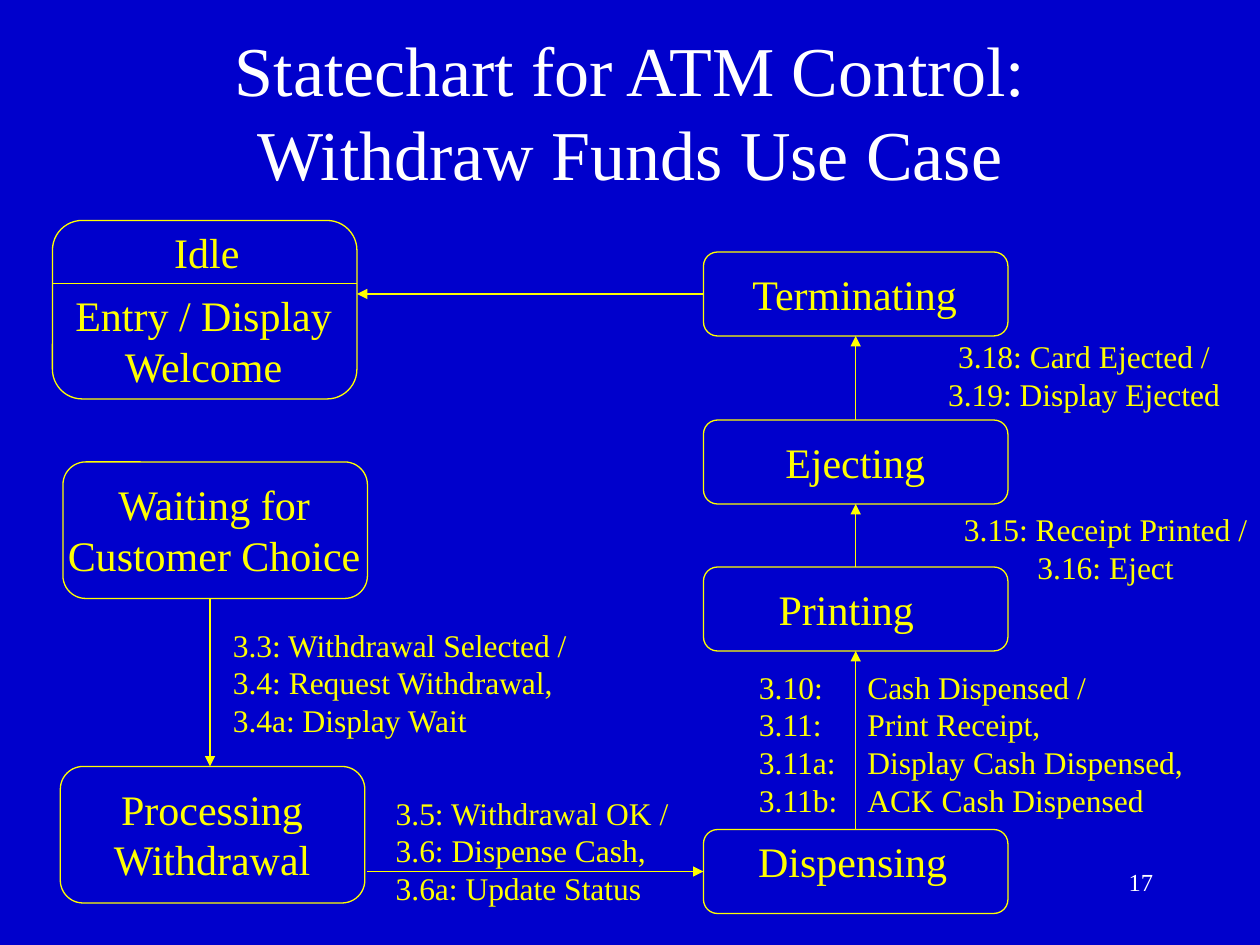
from dataclasses import dataclass

from lxml import etree
from pptx import Presentation
from pptx.dml.color import RGBColor
from pptx.enum.shapes import MSO_CONNECTOR, MSO_SHAPE
from pptx.enum.text import MSO_ANCHOR, MSO_AUTO_SIZE, PP_ALIGN
from pptx.oxml.ns import qn
from pptx.util import Inches, Pt

STRAIGHT = MSO_CONNECTOR.STRAIGHT
ROUNDED = MSO_SHAPE.ROUNDED_RECTANGLE
MIDDLE = MSO_ANCHOR.MIDDLE
GROW, FIXED = MSO_AUTO_SIZE.SHAPE_TO_FIT_TEXT, MSO_AUTO_SIZE.NONE
LEFT, CENTER, RIGHT = PP_ALIGN.LEFT, PP_ALIGN.CENTER, PP_ALIGN.RIGHT
TOP_SIDE, LEFT_SIDE, BOTTOM_SIDE = 0, 1, 2
COLUMNS, ROWS = 120, 90
STATE_WIDTH = 29
RIGHT_COLUMN = 67
SLACK = 1


@dataclass(frozen=True)
class Theme:
    """Colours, type sizes and line width of the slide."""

    background: RGBColor = RGBColor(0x00, 0x00, 0xCC)
    ink: RGBColor = RGBColor(0xFF, 0xFF, 0x00)
    heading: RGBColor = RGBColor(0xFF, 0xFF, 0xFF)
    font: str = "Times New Roman"
    title: int = 40
    state: int = 24
    transition: int = 18
    number: int = 14
    line: float = 0.75


THEME = Theme()

STATES = {
    "idle": ((5, 21, STATE_WIDTH, 17),
             [(["Idle"], (15.4, 21, 8.6)),
              (["Entry / Display", "Welcome"], (6, 27, 26.8))]),
    "waiting": ((6, 44, STATE_WIDTH, 13),
                [(["Waiting for", "Customer Choice"], (5.3, 45, 30.2))]),
    "processing": ((5.75, 73, STATE_WIDTH, 13),
                   [(["Processing", "Withdrawal"], (9.6, 74, 21.2))]),
    "terminating": ((RIGHT_COLUMN, 24, STATE_WIDTH, 8),
                    [(["Terminating"], (70.3, 25, 22.2))]),
    "ejecting": ((RIGHT_COLUMN, 40, STATE_WIDTH, 8),
                 [(["Ejecting"], (73.6, 41, 15.7))]),
    "printing": ((RIGHT_COLUMN, 54, STATE_WIDTH, 8),
                 [(["Printing"], (73, 55, 15.2))]),
    "dispensing": ((RIGHT_COLUMN, 79, STATE_WIDTH, 8),
                   [(["Dispensing"], (71, 79, 20.4))]),
}

TRANSITIONS = [
    (["3.3: Withdrawal Selected /", "3.4: Request Withdrawal,", "3.4a: Display Wait"],
     (21, 59, 34.3), LEFT),
    (["3.5: Withdrawal OK /", "3.6: Dispense Cash,", "3.6a: Update Status"],
     (36.5, 75, 28.6), LEFT),
    (["3.10:\tCash Dispensed /", "3.11:\tPrint Receipt,",
      "3.11a:\tDisplay Cash Dispensed,", "3.11b:\tACK Cash Dispensed"],
     (71.1, 63, 43), LEFT),
    (["3.15: Receipt Printed /", "3.16: Eject"], (90.6, 48, 29.4), CENTER),
    (["3.18: Card Ejected /", "3.19: Display Ejected"], (89.1, 31.5, 28.3), CENTER),
]


def grid(*units):
    """Turn grid columns or rows into lengths."""
    return [Inches(unit / 12) for unit in units]


def write(frame, lines, size, color=THEME.ink, align=CENTER, tab=None):
    """Fill a text frame with formatted paragraphs."""
    for index, line in enumerate(lines):
        para = frame.add_paragraph() if index else frame.paragraphs[0]
        para.text = line
        para.alignment = align
        para.space_before = Pt(0)
        if tab:
            stops = etree.SubElement(para._p.get_or_add_pPr(), qn("a:tabLst"))
            etree.SubElement(stops, qn("a:tab"), pos=str(Inches(tab)), algn="l")
        for span in para.runs:
            span.font.name = THEME.font
            span.font.size = Pt(size)
            span.font.color.rgb = color


def add_label(page, lines, place, size, align=CENTER, tab=None):
    """Add a text box as tall as its lines, with slack that keeps them whole."""
    left, top, width = place
    if align == CENTER:
        left -= SLACK / 2
    height = Inches(0.1) + Pt(size * 1.2 * len(lines))
    box = page.shapes.add_textbox(*grid(left, top, width + SLACK), height)
    box.text_frame.word_wrap = False
    box.text_frame.auto_size = GROW
    write(box.text_frame, lines, size, align=align, tab=tab)


def add_state(page, place, labels):
    """Draw one rounded state with its labels."""
    state = page.shapes.add_shape(ROUNDED, *grid(*place))
    state.shadow.inherit = False
    state.fill.background()
    state.line.color.rgb = THEME.ink
    state.line.width = Pt(THEME.line)
    for lines, spot in labels:
        add_label(page, lines, spot, THEME.state)
    return state


def add_line(page, start, end, arrow=True):
    """Draw a straight line between two grid points."""
    line = page.shapes.add_connector(STRAIGHT, *grid(*start, *end))
    line.line.color.rgb = THEME.ink
    line.line.width = Pt(THEME.line)
    if arrow:
        etree.SubElement(line.line._get_or_add_ln(), qn("a:tailEnd"), type="triangle")
    etree.SubElement(line._element.spPr, qn("a:effectLst"))
    return line


def add_title(page, text, place):
    """Place and format the slide title."""
    title = page.shapes.title
    title.left, title.top, title.width, title.height = grid(*place)
    title.text_frame.vertical_anchor = MIDDLE
    title.text_frame.word_wrap = True
    title.text_frame.auto_size = FIXED
    write(title.text_frame, [text], THEME.title, color=THEME.heading)


def add_page_number(page, text, place):
    """Write the page number at the right of its box."""
    box = page.shapes.add_textbox(*grid(*place))
    box.text_frame.word_wrap = True
    write(box.text_frame, [text], THEME.number, color=THEME.heading, align=RIGHT)


def add_statechart(page):
    """Draw the states, the arrows between them and the transition labels."""
    states = {name: add_state(page, *parts) for name, parts in STATES.items()}
    add_line(page, (5, 27), (34, 27), arrow=False)
    add_line(page, (20, 57), (20, 73))
    add_line(page, (35, 83), (67, 83)).end_connect(states["dispensing"], LEFT_SIDE)
    chain = ["dispensing", "printing", "ejecting", "terminating"]
    for lower, upper in zip(chain, chain[1:]):
        arrow = add_line(page, (81.5, 79), (81.5, 32))
        arrow.begin_connect(states[lower], TOP_SIDE)
        arrow.end_connect(states[upper], BOTTOM_SIDE)
    add_line(page, (67, 28), (34, 28)).begin_connect(states["terminating"], LEFT_SIDE)
    for lines, place, align in TRANSITIONS:
        tab = 0.86 if "\t" in lines[0] else None
        add_label(page, lines, place, THEME.transition, align=align, tab=tab)


def main():
    """Build the slide and save it."""
    deck = Presentation()
    deck.slide_width, deck.slide_height = grid(COLUMNS, ROWS)
    page = deck.slides.add_slide(deck.slide_layouts[5])
    page.background.fill.solid()
    page.background.fill.fore_color.rgb = THEME.background
    add_title(page, "Statechart for ATM Control: Withdraw Funds Use Case", (9, 3, 102, 15))
    add_statechart(page)
    add_page_number(page, "17", (86, 82, 25, 6))
    deck.save("out.pptx")


if __name__ == "__main__":
    main()
